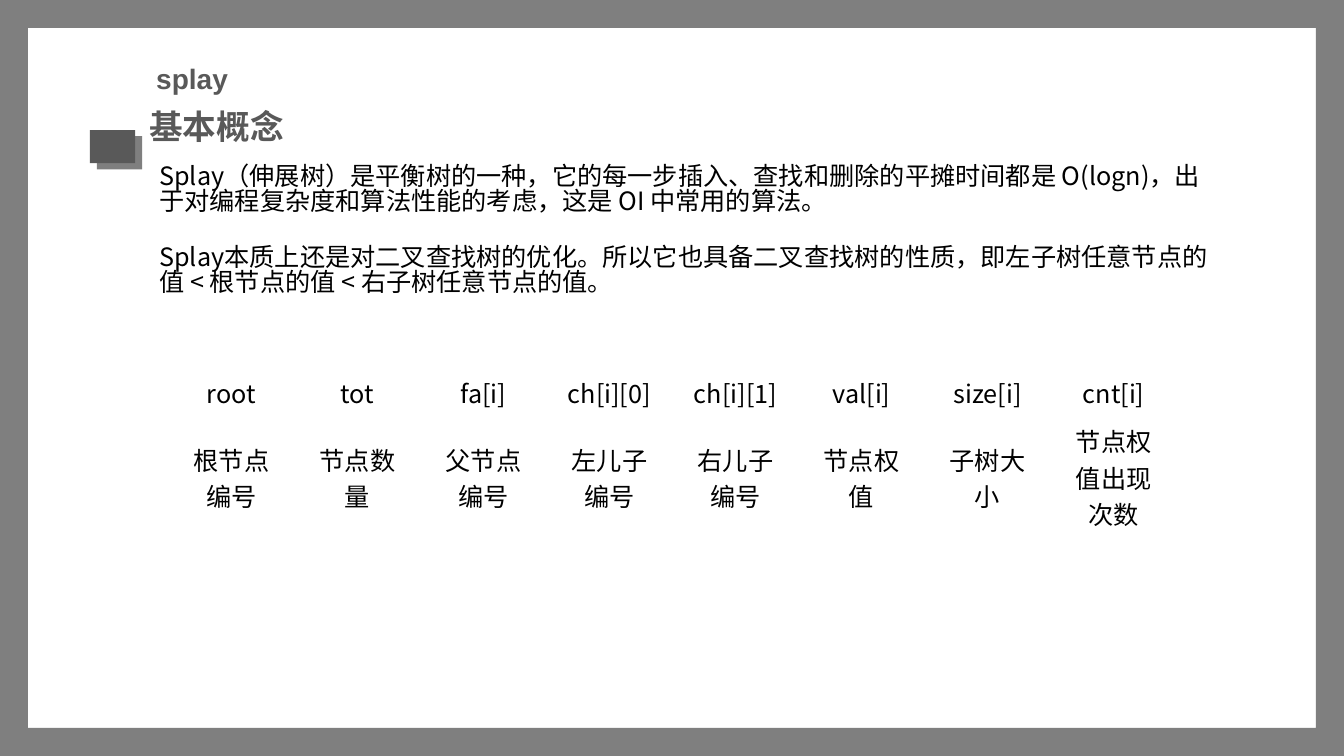
"""Build the slide that introduces the basic ideas of the splay tree."""
from lxml.etree import SubElement
from pptx import Presentation
from pptx.dml.color import RGBColor
from pptx.enum.shapes import MSO_SHAPE
from pptx.enum.text import MSO_ANCHOR as Anchor, MSO_AUTO_SIZE as AutoSize, PP_ALIGN as Align
from pptx.oxml.ns import qn
from pptx.util import Emu, Pt

EMU_PER_PX = 9144
GRAY = RGBColor(0x7F, 0x7F, 0x7F)
DARK = RGBColor(0x59, 0x59, 0x59)
BLACK = RGBColor(0x00, 0x00, 0x00)
CJK = "Noto Sans CJK SC"

CHAPTER_FONT = {"name": "Arial", "size": Pt(20), "bold": True}
TITLE_FONT = {"name": CJK, "size": Pt(24), "bold": True}
BODY_FONT = {"name": CJK, "size": Pt(18), "bold": False}
NO_MARGIN = {"margin_left": 0, "margin_top": 0, "margin_right": 0, "margin_bottom": 0}

PARAGRAPHS = [
    "Splay（伸展树）是平衡树的一种，它的每一步插入、查找和删除的平摊时间都是 O(logn)，"
    "出于对编程复杂度和算法性能的考虑，这是 OI 中常用的算法。",
    "Splay本质上还是对二叉查找树的优化。所以它也具备二叉查找树的性质，"
    "即左子树任意节点的值 < 根节点的值 < 右子树任意节点的值。",
]
VARIABLES = [
    ("root", "根节点编号"),
    ("tot", "节点数量"),
    ("fa[i]", "父节点编号"),
    ("ch[i][0]", "左儿子编号"),
    ("ch[i][1]", "右儿子编号"),
    ("val[i]", "节点权值"),
    ("size[i]", "子树大小"),
    ("cnt[i]", "节点权值出现次数"),
]


def px(length):
    """Turn a length in px into EMU."""
    return Emu(length * EMU_PER_PX)


def apply(target, values):
    """Set each attribute of the target from a dict."""
    for name, value in values.items():
        setattr(target, name, value)


def place(shape, box):
    """Move a shape into a box of left, top, width and height."""
    apply(shape, dict(zip(("left", "top", "width", "height"), map(px, box))))


def write(paragraph, text, font, color, **layout):
    """Write one formatted run into a paragraph."""
    run = paragraph.add_run()
    run.text = text
    apply(run.font, font)
    run.font.color.rgb = color
    SubElement(run.font._element, qn("a:ea"), typeface=font["name"])
    apply(paragraph, layout)


def add_block(slide, preset, box, color):
    """Add a plain filled shape."""
    shape = slide.shapes.add_shape(preset, *map(px, box))
    shape.shadow.inherit = False
    shape.fill.solid()
    shape.fill.fore_color.rgb = color
    shape.line.fill.background()
    return shape


def add_border(slide, box):
    """Add the gray frame around the slide."""
    add_block(slide, MSO_SHAPE.FRAME, box, GRAY).adjustments[0] = 0.037


def add_heading(slide, box):
    """Add the chapter name, the title and the doubled marker."""
    left, top, width, height = box
    add_block(slide, MSO_SHAPE.RECTANGLE, (left + 7, top + 74, 45, 33), GRAY)
    add_block(slide, MSO_SHAPE.RECTANGLE, (left, top + 68, 45, 33), DARK)
    chapter = slide.shapes.add_textbox(0, 0, 0, 0)
    place(chapter, (left + 66, top, width - 66, 34))
    title = slide.shapes.title
    place(title, (left + 59, top + 44, 214, 40))
    for shape, text, font in ((chapter, "splay", CHAPTER_FONT), (title, "基本概念", TITLE_FONT)):
        frame = shape.text_frame
        apply(frame, {"word_wrap": True, "auto_size": AutoSize.NONE,
                      "vertical_anchor": Anchor.TOP, **NO_MARGIN})
        write(frame.paragraphs[0], text, font, DARK, alignment=Align.LEFT)


def add_body(slide, box):
    """Fill the body placeholder with the introduction."""
    body = slide.placeholders[1]
    place(body, box)
    frame = body.text_frame
    apply(frame, {"word_wrap": True, "auto_size": AutoSize.NONE, "vertical_anchor": Anchor.TOP})
    for index, text in enumerate(PARAGRAPHS):
        paragraph = frame.add_paragraph() if index else frame.paragraphs[0]
        write(paragraph, text, BODY_FONT, BLACK, alignment=Align.LEFT,
              line_spacing=0.83, space_before=Pt(22 if index else 0))
        properties = paragraph._p.get_or_add_pPr()
        apply_indent = {"marL": "0", "indent": "0"}
        for name, value in apply_indent.items():
            properties.set(name, value)
        SubElement(properties, qn("a:buNone"))


def add_variables(slide, box):
    """Add the table of variable names and their meanings."""
    graphic = slide.shapes.add_table(2, len(VARIABLES), *map(px, box))
    table = graphic.table
    apply(table, {"first_row": False, "horz_banding": False})
    for column, texts in enumerate(VARIABLES):
        table.columns[column].width = px(box[2] // len(VARIABLES))
        for row, text in enumerate(texts):
            cell = table.cell(row, column)
            cell.fill.background()
            apply(cell, {"vertical_anchor": Anchor.MIDDLE, "margin_left": px(16),
                         "margin_right": px(16), "margin_top": px(6), "margin_bottom": px(6)})
            write(cell.text_frame.paragraphs[0], text, BODY_FONT, BLACK, alignment=Align.CENTER)
    for row in table.rows:
        row.height = 0
    place(graphic, box)


def main():
    """Build and save the presentation."""
    presentation = Presentation()
    apply(presentation, {"slide_width": px(1333), "slide_height": px(750)})
    slide = presentation.slides.add_slide(presentation.slide_layouts[1])
    add_border(slide, (0, 0, 1333, 750))
    add_heading(slide, (89, 61, 416, 107))
    add_body(slide, (148, 159, 1077, 222))
    add_variables(slide, (167, 365, 1000, 145))
    presentation.save("out.pptx")


if __name__ == "__main__":
    main()
